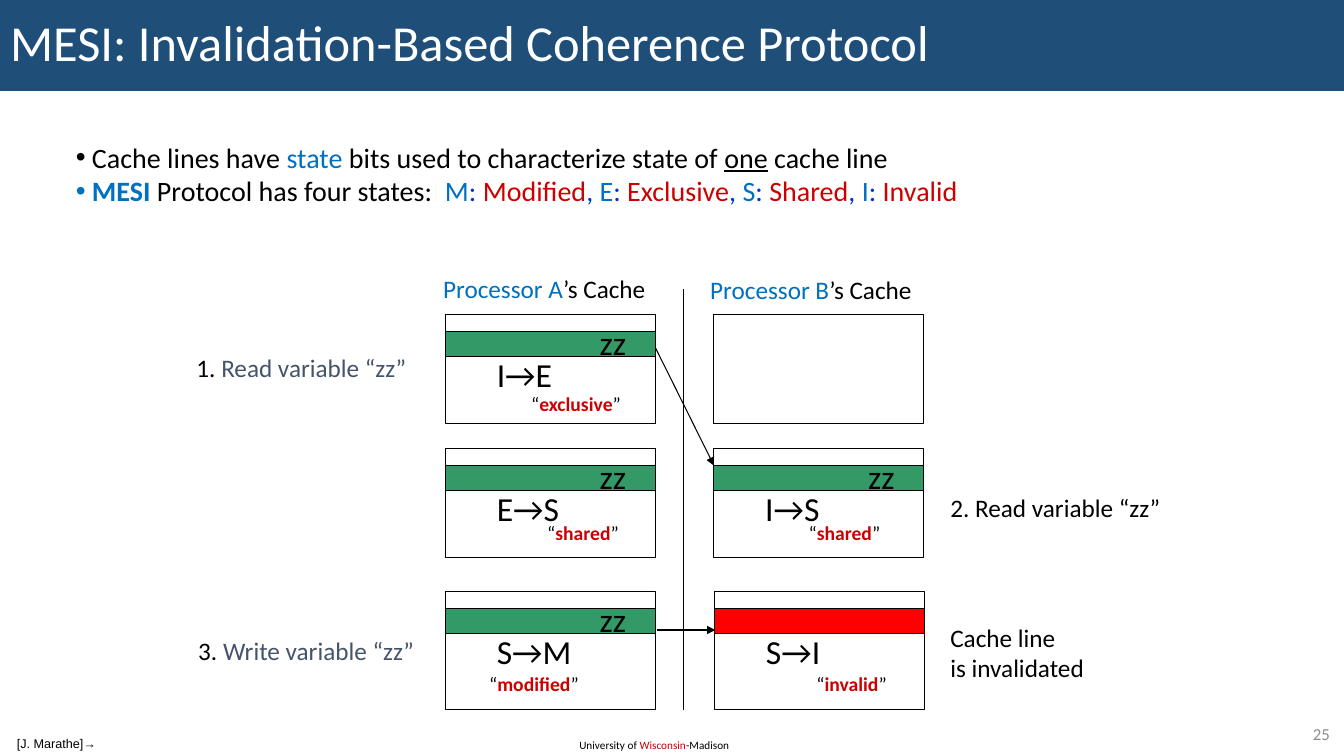
from dataclasses import dataclass

from lxml import etree
from pptx import Presentation
from pptx.dml.color import RGBColor
from pptx.enum.shapes import MSO_CONNECTOR, MSO_SHAPE
from pptx.enum.text import MSO_ANCHOR, PP_ALIGN
from pptx.oxml.ns import qn
from pptx.util import Pt

LEFT, RIGHT = PP_ALIGN.LEFT, PP_ALIGN.RIGHT
TOP, MIDDLE = MSO_ANCHOR.TOP, MSO_ANCHOR.MIDDLE
RECTANGLE, STRAIGHT = MSO_SHAPE.RECTANGLE, MSO_CONNECTOR.STRAIGHT


@dataclass(frozen=True)
class Theme:
    font: str = "Calibri"
    credit_font: str = "Arial"
    black: str = "000000"
    white: str = "FFFFFF"
    navy: str = "1F4E79"
    blue: str = "0070C0"
    punctuation: str = "0033CC"
    red: str = "CC0000"
    dark_red: str = "C00000"
    slate: str = "44546A"
    gray: str = "8C8C8C"
    valid: str = "339966"
    invalid: str = "FF0000"
    title: int = 36
    state: int = 24
    body: int = 20
    label: int = 18
    note: int = 14
    number: int = 12
    credit: int = 9
    footer: int = 8


T = Theme()


def write(tf, lines, size, font=T.font, align=LEFT):
    """Fill a text frame; each line is a list of (text, colour, *styles)."""
    for i, line in enumerate(lines):
        p = tf.paragraphs[0] if i == 0 else tf.add_paragraph()
        p.alignment = align
        for text, color, *styles in line:
            r = p.add_run()
            r.text = text
            r.font.name = font
            r.font.size = Pt(size)
            r.font.color.rgb = RGBColor.from_string(color)
            r.font.bold = "bold" in styles
            r.font.underline = "underline" in styles


def add_text(x, y, w, h, lines, size, wrap=False, **style):
    tf = slide.shapes.add_textbox(Pt(x), Pt(y), Pt(w), Pt(h)).text_frame
    tf.word_wrap = wrap
    write(tf, lines, size, **style)
    return tf


prs = Presentation()
prs.slide_width, prs.slide_height = Pt(960), Pt(540)
slide = prs.slides.add_slide(prs.slide_layouts[1])

# Title and bullets
title, body = slide.placeholders
title.left, title.top, title.width, title.height = Pt(0), Pt(0), Pt(960), Pt(65)
title.fill.solid()
title.fill.fore_color.rgb = RGBColor.from_string(T.navy)
title.text_frame.vertical_anchor = MIDDLE
write(title.text_frame, [[("MESI: Invalidation-Based Coherence Protocol", T.white)]], T.title)
title.text_frame.paragraphs[0].line_spacing = 0.9

states_line = [("MESI ", T.blue, "bold"), ("Protocol has four states:  ", T.black)]
for i, name in enumerate(("Modified", "Exclusive", "Shared", "Invalid")):
    if i:
        states_line.append((", ", T.punctuation))
    states_line += [(name[0], T.blue), (": ", T.punctuation), (name, T.red)]

body.left, body.top, body.width, body.height = Pt(47), Pt(96.5), Pt(708), Pt(55.5)
body.text_frame.vertical_anchor = TOP
write(body.text_frame, [
    [("Cache lines have ", T.black), ("state", T.blue),
     (" bits used to characterize state of ", T.black),
     ("one", T.black, "underline"), (" cache line", T.black)],
    states_line,
], T.body)
for p in body.text_frame.paragraphs:
    p.line_spacing = 1.0
    p.space_before = Pt(0)
    pPr = p._p.get_or_add_pPr()
    pPr.set("marL", str(Pt(11.5)))
    pPr.set("indent", str(-Pt(11.5)))
    etree.SubElement(pPr, qn("a:buFont")).set("typeface", "Arial")
    etree.SubElement(pPr, qn("a:buChar")).set("char", "•")

# Cache contents: left, top, height, band colour, variable, transition, note, note offset
A, B = 318.25, 510
ROW_1, ROW_2, ROW_3 = 224.75, 320.4, 422.6
CACHE_W, BAND_DY, BAND_H = 150, 12.25, 18
caches = [
    (A, ROW_1, 78, T.valid, "zz", "I→E", "exclusive", (54, 52, 79)),
    (B, ROW_1, 78, None, "", "", "", None),
    (A, ROW_2, 78, T.valid, "zz", "E→S", "shared", (65.5, 48.25, 66)),
    (B, ROW_2, 78, T.valid, "zz", "I→S", "shared", (60.5, 48.25, 66)),
    (A, ROW_3, 84.5, T.valid, "zz", "S→M", "modified", (24, 54, 79)),
    (B + 0.5, ROW_3, 84.5, T.invalid, "", "S→I", "invalid", (65.5, 54, 65.5)),
]
for x, y, h, band, variable, transition, note, note_box in caches:
    boxes = [(y, h, None)]
    if band:
        boxes.append((y + BAND_DY, BAND_H, band))
    for top, height, fill in boxes:
        sp = slide.shapes.add_shape(RECTANGLE, Pt(x), Pt(top), Pt(CACHE_W), Pt(height))
        sp.shadow.inherit = False
        sp.line.color.rgb = RGBColor.from_string(T.black)
        sp.line.width = Pt(0.75)
        if fill:
            sp.fill.solid()
            sp.fill.fore_color.rgb = RGBColor.from_string(fill)
        else:
            sp.fill.background()
    if variable:
        add_text(x + 103, y + 1.5, 36, 36, [[(variable, T.black)]], T.state, wrap=True)
    if transition:
        tf = add_text(x + 18, y + 24.25, 107, 36, [[(transition, T.black)]], T.state, wrap=True)
        tf.paragraphs[0]._p.get_or_add_pPr().set("marL", str(Pt(11.5)))
    if note:
        dx, dy, w = note_box
        add_text(x + dx, y + dy, w, 24.5,
                 [[("“", T.black), (note, T.red, "bold"), ("”", T.black)]], T.note)

# Divider and arrows between the caches
for x1, y1, x2, y2, arrow in [
    (488.25, 206.5, 488.25, 507, False),
    (468.25, 248.5, 510, 332.6, True),
    (469.25, 450, 511, 450, True),
]:
    line = slide.shapes.add_connector(STRAIGHT, Pt(x1), Pt(y1), Pt(x2), Pt(y2))
    line.line.color.rgb = RGBColor.from_string(T.black)
    line.line.width = Pt(0.75)
    if arrow:
        etree.SubElement(line.line._get_or_add_ln(), qn("a:tailEnd")).set("type", "triangle")
    etree.SubElement(line._element.spPr, qn("a:effectLst"))

# Headings and steps
for x, y, w, h, lines in [
    (309.5, 191.75, 160, 29, [[("Processor A", T.blue), ("’s Cache", T.black)]]),
    (500.25, 192.25, 160, 29, [[("Processor B", T.blue), ("’s Cache", T.black)]]),
    (133.25, 248, 166.5, 29, [[("1. ", T.black), ("Read variable “zz”", T.slate)]]),
    (671.75, 348, 166.5, 29, [[("2. Read variable “zz”", T.black)]]),
    (134.5, 450, 170.5, 29, [[("3. ", T.black), ("Write variable “zz”", T.slate)]]),
    (671.75, 440.75, 111, 51, [[("Cache line", T.black)], [("is invalidated", T.black)]]),
]:
    add_text(x, y, w, h, lines, T.label)

# Footer
add_text(5, 522, 71.5, 18, [[("[J. Marathe]→", T.black)]], T.credit, font=T.credit_font)
add_text(406.75, 524, 124, 17, [[("University of ", T.black), ("Wisconsin", T.dark_red),
                                 ("-Madison", T.black)]], T.footer, wrap=True)
number = add_text(902, 513.5, 55, 21, [[("25", T.gray)]], T.number, wrap=True, align=RIGHT)
number.vertical_anchor = MIDDLE

prs.save("out.pptx")
